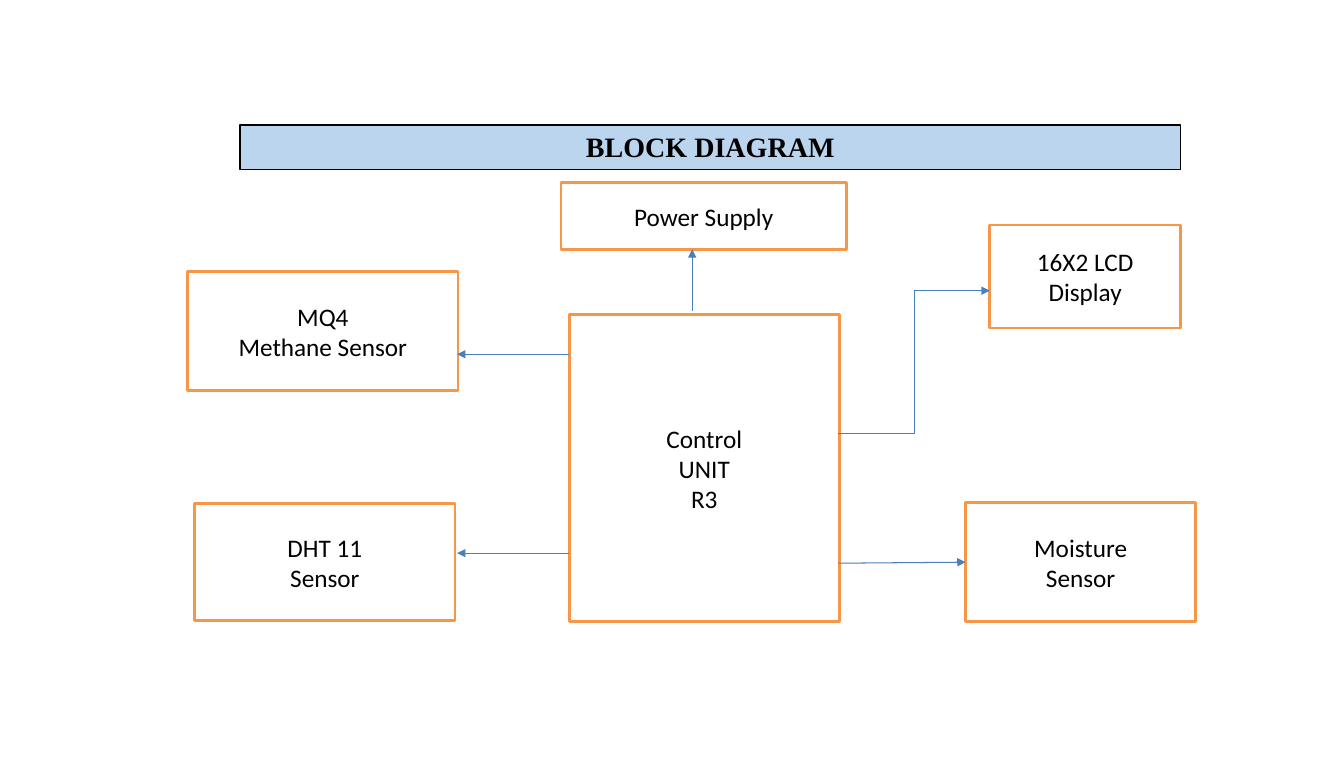
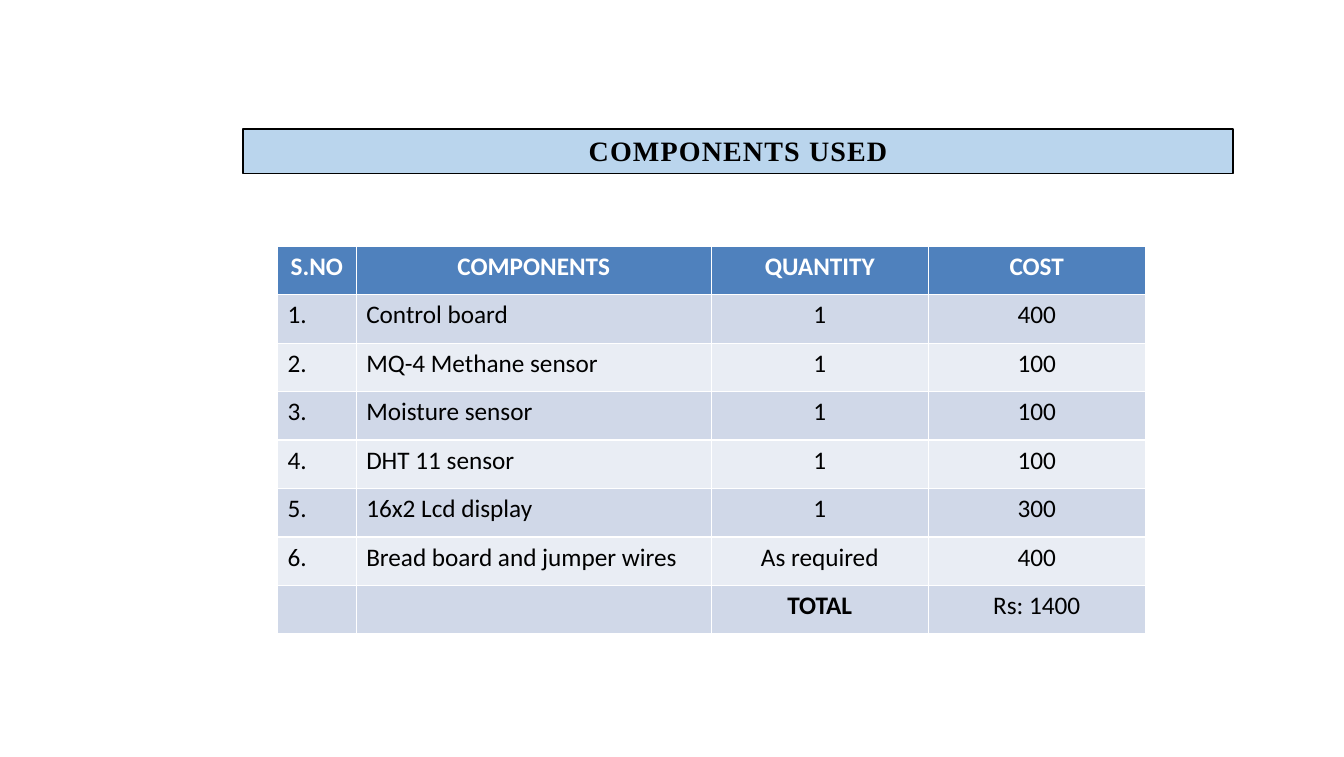
from pptx import Presentation
from pptx.dml.color import RGBColor
from pptx.enum.shapes import MSO_CONNECTOR, MSO_SHAPE
from pptx.enum.text import MSO_ANCHOR, MSO_AUTO_SIZE, PP_ALIGN
from pptx.oxml.ns import qn
from pptx.util import Inches, Pt
from lxml.etree import SubElement

BLACK = RGBColor(0x00, 0x00, 0x00)
WHITE = RGBColor(0xFF, 0xFF, 0xFF)
BAND_BLUE = RGBColor(0xBA, 0xD5, 0xED)
BOX_ORANGE = RGBColor(0xF7, 0x96, 0x46)
ARROW_BLUE = RGBColor(0x4B, 0x7E, 0xBC)
HEADER_BLUE = RGBColor(0x4F, 0x81, 0xBD)
ROW_DARK = RGBColor(0xD0, 0xD8, 0xE8)
ROW_LIGHT = RGBColor(0xE9, 0xED, 0xF4)

BLOCKS = [
    ("Control\nUNIT\nR3", 5.64, 3.12, 2.68, 3.04),
    ("16X2 LCD\nDisplay", 9.81, 2.23, 1.89, 1.02),
    ("MQ4\nMethane Sensor", 1.86, 2.69, 2.68, 1.18),
    ("DHT 11\nSensor", 1.93, 4.99, 2.58, 1.16),
    ("Moisture\nSensor", 9.57, 4.98, 2.28, 1.18),
    ("Power Supply", 5.56, 1.81, 2.83, 0.66),
]
STRAIGHT_ARROWS = [
    (6.86, 3.08, 6.86, 2.47),
    (5.64, 3.51, 4.53, 3.51),
    (8.31, 5.58, 9.57, 5.57),
    (5.64, 5.48, 4.53, 5.48),
]
COMPONENTS = [
    ("S.NO", "COMPONENTS", "QUANTITY", "COST"),
    ("1.", "Control board", "1", "400"),
    ("2.", "MQ-4 Methane sensor", "1", "100"),
    ("3.", "Moisture sensor", "1", "100"),
    ("4.", "DHT 11 sensor", "1", "100"),
    ("5.", "16x2 Lcd display", "1", "300"),
    ("6.", "Bread board and jumper wires", "As required", "400"),
    ("", "", "TOTAL", "Rs: 1400"),
]


class Deck:
    """Holds the shared style and the slide being built."""

    def __init__(self):
        self.presentation = Presentation()
        self.presentation.slide_width = Inches(13.32)
        self.presentation.slide_height = Inches(7.5)
        self.slide = None

    def style(self, paragraph, color=BLACK, bold=False, align=PP_ALIGN.CENTER,
              size=18, face="Calibri"):
        """Format one paragraph."""
        paragraph.alignment = align
        font = paragraph.font
        font.name, font.size, font.bold = face, Pt(size), bold
        font.color.rgb = color

    def paint(self, shape, fill, line, width):
        """Give a shape its fill and outline."""
        shape.fill.solid()
        shape.fill.fore_color.rgb = fill
        shape.line.color.rgb = line
        shape.line.width = Pt(width)

    def start(self, heading, left, top, width, spacing=0):
        """Add a slide with its heading band."""
        layout = self.presentation.slide_layouts[5]
        self.slide = self.presentation.slides.add_slide(layout)
        band = self.slide.shapes.title
        band.left, band.top = Inches(left), Inches(top)
        band.width, band.height = Inches(width), Inches(0.44)
        self.paint(band, BAND_BLUE, BLACK, 1)
        frame = band.text_frame
        frame.text = heading
        frame.auto_size = MSO_AUTO_SIZE.NONE
        frame.vertical_anchor = MSO_ANCHOR.TOP
        frame.margin_left = frame.margin_right = frame.margin_bottom = 0
        frame.margin_top = Inches(0.04)
        paragraph = frame.paragraphs[0]
        paragraph.space_before = Pt(3)
        self.style(paragraph, bold=True, size=20, face="Times New Roman")
        if spacing:
            paragraph.runs[0].font._element.set("spc", str(round(spacing * 100)))

    def block(self, label, left, top, width, height):
        """Add an outlined box with centred lines of text."""
        box = self.slide.shapes.add_shape(
            MSO_SHAPE.RECTANGLE, Inches(left), Inches(top), Inches(width), Inches(height))
        box.shadow.inherit = False
        self.paint(box, WHITE, BOX_ORANGE, 2)
        box.text_frame.text = label
        box.text_frame.vertical_anchor = MSO_ANCHOR.MIDDLE
        for paragraph in box.text_frame.paragraphs:
            self.style(paragraph)

    def arrow(self, x1, y1, x2, y2, kind=MSO_CONNECTOR.STRAIGHT):
        """Add a connector with a triangle at its end."""
        link = self.slide.shapes.add_connector(
            kind, Inches(x1), Inches(y1), Inches(x2), Inches(y2))
        link.line.color.rgb = ARROW_BLUE
        link.line.width = Pt(0.75)
        SubElement(link.line._get_or_add_ln(), qn("a:tailEnd"), type="triangle")
        SubElement(link._element.spPr, qn("a:effectLst"))

    def table(self, rows, left, top, widths, row_height):
        """Add a table with a header row and banded body rows."""
        grid = self.slide.shapes.add_table(
            len(rows), len(widths), Inches(left), Inches(top),
            Inches(sum(widths)), Inches(row_height * len(rows))).table
        for column, width in zip(grid.columns, widths):
            column.width = Inches(width)
        for r, row in enumerate(rows):
            grid.rows[r].height = Inches(row_height)
            header = r == 0
            fill = HEADER_BLUE if header else (ROW_LIGHT, ROW_DARK)[r % 2]
            for c, value in enumerate(row):
                cell = grid.cell(r, c)
                cell.text = value
                cell.fill.solid()
                cell.fill.fore_color.rgb = fill
                self.style(
                    cell.text_frame.paragraphs[0],
                    color=WHITE if header else BLACK,
                    bold=header or value == "TOTAL",
                    align=PP_ALIGN.CENTER if header or c > 1 else PP_ALIGN.LEFT)


def main():
    deck = Deck()

    deck.start("BLOCK DIAGRAM", 2.38, 1.24, 9.32)
    for block in BLOCKS:
        deck.block(*block)
    for ends in STRAIGHT_ARROWS:
        deck.arrow(*ends)
    deck.arrow(8.31, 4.3, 9.81, 2.88, MSO_CONNECTOR.ELBOW)

    deck.start("COMPONENTS USED", 2.41, 1.28, 9.81, spacing=0.8)
    deck.table(COMPONENTS, 2.75, 2.44, (0.78, 3.52, 2.15, 2.15), 0.48)

    deck.presentation.save("out.pptx")


if __name__ == "__main__":
    main()
